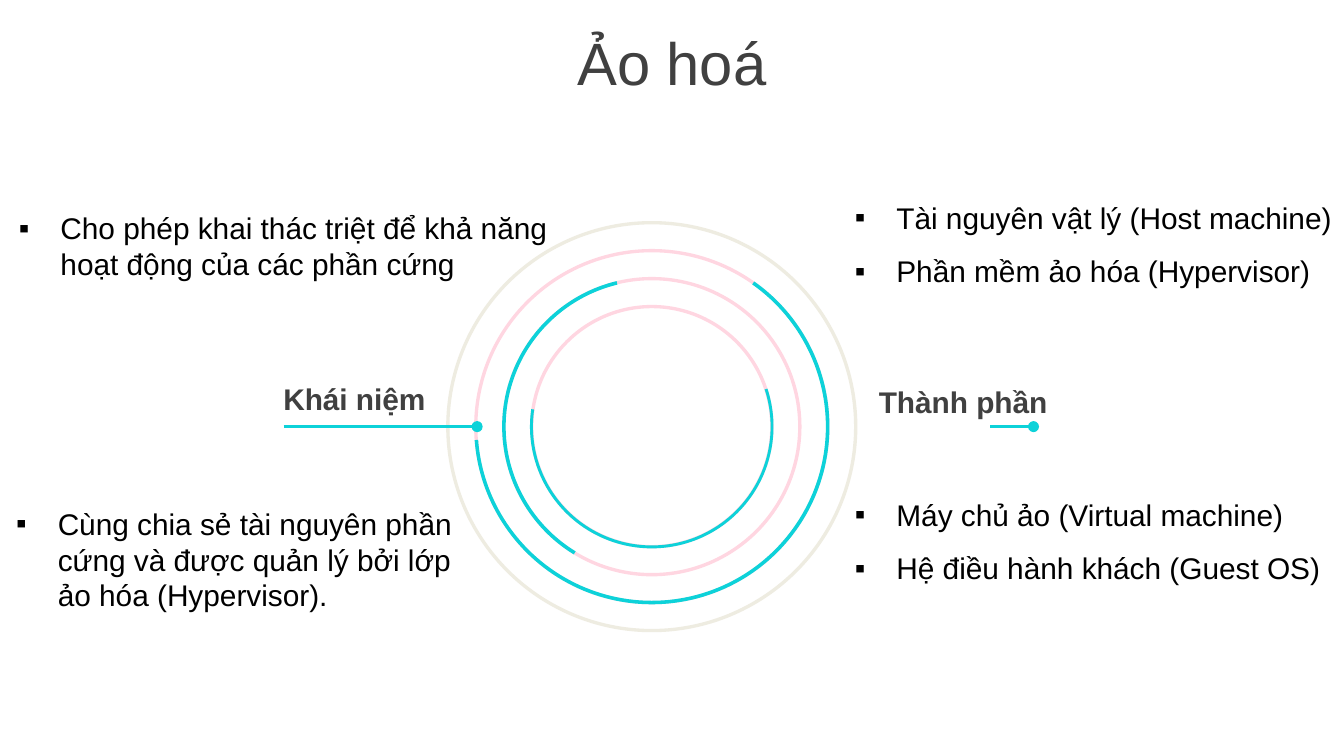
from typing import NamedTuple

from lxml import etree
from pptx import Presentation
from pptx.dml.color import RGBColor
from pptx.enum.shapes import MSO_CONNECTOR, MSO_SHAPE
from pptx.enum.text import MSO_ANCHOR, MSO_AUTO_SIZE, PP_ALIGN
from pptx.oxml.ns import qn
from pptx.util import Emu, Inches, Pt

DONUT, ARC = MSO_SHAPE.DONUT, MSO_SHAPE.BLOCK_ARC
STRAIGHT = MSO_CONNECTOR.STRAIGHT
TOP, MIDDLE = MSO_ANCHOR.TOP, MSO_ANCHOR.MIDDLE
CENTER = PP_ALIGN.CENTER
NO_FIT = MSO_AUTO_SIZE.NONE

FONT = "Arial"
BLACK, GREY, CYAN, PINK, CREAM = "000000", "404040", "0DD2D9", "FFD6E1", "EEECE1"
INDENT = Inches(0.31)

# Shares below are percentages of the slide's width and height
CENTER_X, CENTER_Y = 48.5, 56.44
OUTER_RADIUS, RING_STEP, RING_WIDTH = 15.3, 2.08, 0.25
RING_COLORS = [CREAM, PINK, PINK, PINK]


class Box(NamedTuple):
    left: float
    top: float
    width: float
    height: float


class BulletList(NamedTuple):
    placeholder: int
    box: Box
    items: list[str]
    spacing: float = 1.0
    anchor: MSO_ANCHOR = MIDDLE


class Label(NamedTuple):
    text: str
    box: Box
    line_start: float
    line_end: float


class Arc(NamedTuple):
    ring: int
    start: float
    end: float
    thickness: float
    rotation: float = 0


LISTS = [
    BulletList(1, Box(0.4, 26.84, 42.5, 11.38),
               ["Cho phép khai thác triệt để khả năng hoạt động của các phần cứng"]),
    BulletList(2, Box(62.6, 23.47, 39.4, 15.29),
               ["Tài nguyên vật lý (Host machine)", "Phần mềm ảo hóa (Hypervisor)"], 1.5),
    BulletList(3, Box(0.2, 65.96, 34.9, 16.18),
               ["Cùng chia sẻ tài nguyên phần cứng và được quản lý bởi lớp ảo hóa (Hypervisor)."],
               anchor=TOP),
    BulletList(4, Box(62.6, 62.76, 37.3, 15.29),
               ["Máy chủ ảo (Virtual machine)", "Hệ điều hành khách (Guest OS)"], 1.5),
]
LABELS = [
    Label("Khái niệm", Box(20.1, 48.85, 18.4, 7.64), 21.1, 35.5),
    Label("Thành phần", Box(64.4, 49.82, 17.1, 6.58), 73.7, 76.9),
]
ARCS = [
    Arc(1, 305.23, 175.64, 0.01),
    Arc(2, 40.21, 175.17, 0.012, 81.2),
    Arc(3, 328.69, 175.17, 0.012, 13.1),
]

# 16:9 slide, ten inches wide
prs = Presentation()
prs.slide_width = Inches(10)
prs.slide_height = prs.slide_width * 9 // 16
s = prs.slides.add_slide(prs.slide_layouts.get_by_name("Comparison"))


def rgb(color: str) -> RGBColor:
    return RGBColor.from_string(color)


def across(share: float) -> Emu:
    return Emu(round(prs.slide_width * share / 100))


def down(share: float) -> Emu:
    return Emu(round(prs.slide_height * share / 100))


def place(sp, box: Box) -> None:
    sp.left, sp.top = across(box.left), down(box.top)
    sp.width, sp.height = across(box.width), down(box.height)


def frame(sp, anchor=MIDDLE):
    tf = sp.text_frame
    tf.word_wrap = True
    tf.auto_size = NO_FIT
    tf.vertical_anchor = anchor
    return tf


def add_run(p, text: str, size: float, color: str, bold: bool = False) -> None:
    p.space_before = Pt(0)
    r = p.add_run()
    r.text = text
    r.font.name, r.font.size, r.font.bold = FONT, Pt(size), bold
    r.font.color.rgb = rgb(color)


def add_bullet(p) -> None:
    pPr = p._p.get_or_add_pPr()
    pPr.set("marL", str(INDENT))
    pPr.set("indent", str(-INDENT))
    etree.SubElement(pPr, qn("a:buFont")).set("typeface", FONT)
    etree.SubElement(pPr, qn("a:buChar")).set("char", "▪")


def fill_list(item: BulletList) -> None:
    sp = s.placeholders[item.placeholder]
    place(sp, item.box)
    tf = frame(sp, item.anchor)
    for i, text in enumerate(item.items):
        p = tf.add_paragraph() if i else tf.paragraphs[0]
        add_bullet(p)
        p.line_spacing = item.spacing
        add_run(p, text, 16, BLACK)


def add_circle(kind: MSO_SHAPE, ring: int, color: str):
    radius = across(OUTER_RADIUS - ring * RING_STEP)
    sp = s.shapes.add_shape(kind, across(CENTER_X) - radius, down(CENTER_Y) - radius,
                            2 * radius, 2 * radius)
    sp.shadow.inherit = False
    sp.fill.solid()
    sp.fill.fore_color.rgb = rgb(color)
    sp.line.fill.background()
    return sp


def add_arc(arc: Arc) -> None:
    sp = add_circle(ARC, arc.ring, CYAN)
    # Angles are stored in 60000ths of a degree, adjustments in 100000ths
    sp.adjustments[0] = arc.start * 0.6
    sp.adjustments[1] = arc.end * 0.6
    sp.adjustments[2] = arc.thickness
    sp.rotation = arc.rotation


def add_label(label: Label) -> None:
    sp = s.shapes.add_textbox(0, 0, 0, 0)
    place(sp, label.box)
    add_run(frame(sp).paragraphs[0], label.text, 16, GREY, True)
    line = s.shapes.add_connector(STRAIGHT, across(label.line_start), down(CENTER_Y),
                                  across(label.line_end), down(CENTER_Y))
    line.line.color.rgb = rgb(CYAN)
    line.line.width = Pt(1.5)
    etree.SubElement(line.line._get_or_add_ln(), qn("a:tailEnd")).set("type", "oval")
    etree.SubElement(line._element.spPr, qn("a:effectLst"))


# Title
title = s.shapes.title
place(title, Box(0, 2.4, 100, 11.38))
p = frame(title).paragraphs[0]
p.alignment = CENTER
add_run(p, "Ảo hoá", 32, GREY)

# Lists around the rings
for item in LISTS:
    fill_list(item)

# Concentric rings with highlighted arcs
for i, color in enumerate(RING_COLORS):
    sp = add_circle(DONUT, i, color)
    sp.adjustments[0] = RING_WIDTH / (2 * (OUTER_RADIUS - i * RING_STEP))
for arc in ARCS:
    add_arc(arc)

# Labels with their pointer lines
for label in LABELS:
    add_label(label)

prs.save("out.pptx")
